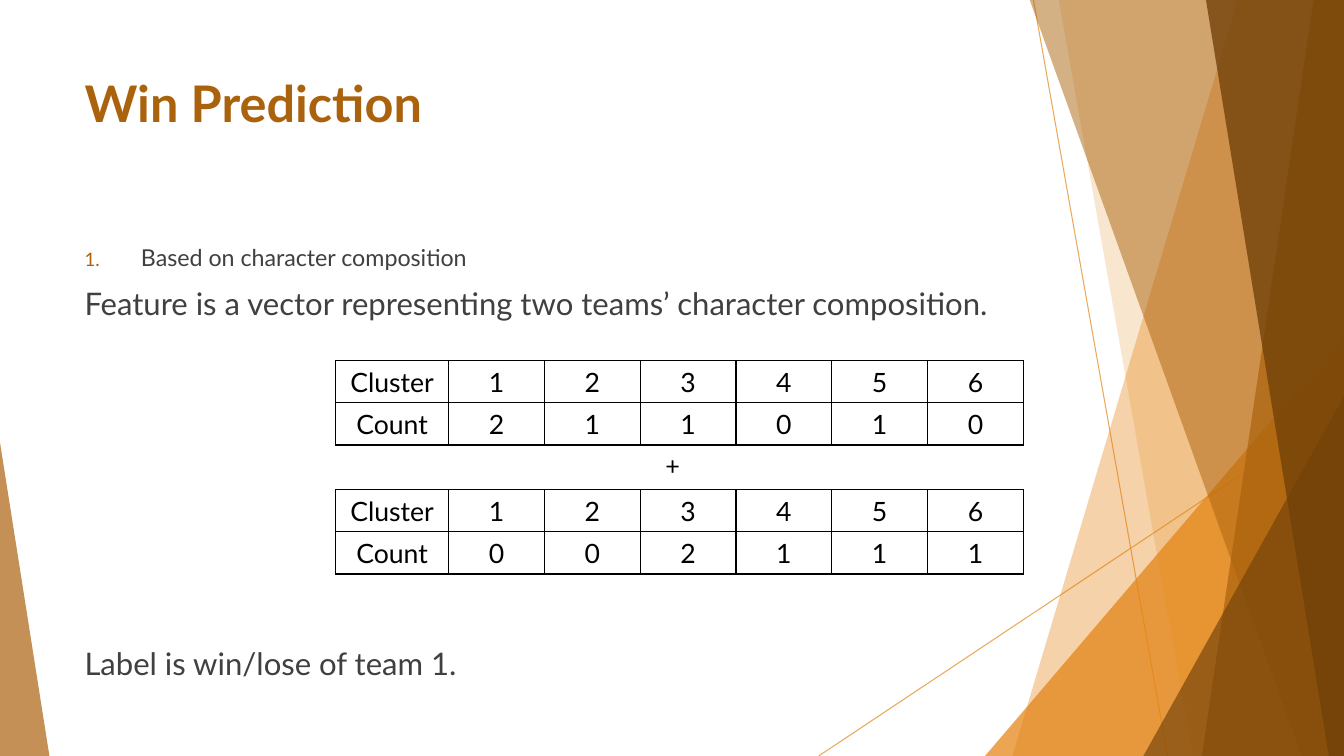
from lxml import etree
from pptx import Presentation
from pptx.dml.color import RGBColor
from pptx.enum.shapes import MSO_CONNECTOR, MSO_SHAPE
from pptx.enum.text import PP_ALIGN
from pptx.oxml import parse_xml
from pptx.oxml.ns import qn
from pptx.util import Inches, Pt

LINE = MSO_CONNECTOR.STRAIGHT
WEDGE = MSO_SHAPE.ISOSCELES_TRIANGLE
LEFT, CENTER = PP_ALIGN.LEFT, PP_ALIGN.CENTER
ORANGE = RGBColor(0xE4, 0x83, 0x12)
RUST = RGBColor(0xAB, 0x62, 0x0D)
BROWN = RGBColor(0x72, 0x42, 0x09)
GRAY = RGBColor(0x40, 0x40, 0x40)
BLACK = RGBColor(0, 0, 0)
WIDE, HIGH, TOP = 13.33, 7.5, -0.01
NS = 'xmlns:a="http://schemas.openxmlformats.org/drawingml/2006/main"'


def write(para, text, size=18, color=BLACK, bold=False, align=LEFT, before=0):
    para.alignment = align
    para.space_before = Pt(before)
    run = para.add_run()
    run.text = text
    run.font.name = "Lato"
    run.font.size = Pt(size)
    run.font.bold = bold
    run.font.color.rgb = color


def tint(fill, color, alpha):
    fill.solid()
    fill.fore_color.rgb = color
    for node in fill._xPr.iter(qn("a:srgbClr")):
        etree.SubElement(node, qn("a:alpha"), val=str(alpha * 1000))


deck = Presentation()
deck.slide_width, deck.slide_height = Inches(WIDE), Inches(HIGH)
slide = deck.slides.add_slide(deck.slide_layouts[6])
shapes = slide.shapes

for x1, y1, x2, y2 in [(10.25, 0, 11.58, HIGH), (WIDE, 4.03, 8.12, HIGH)]:
    ray = shapes.add_connector(LINE, Inches(x1), Inches(y1), Inches(x2), Inches(y2))
    ray.line.width = Pt(0.75)
    tint(ray.line.fill, ORANGE, 70)
    etree.SubElement(ray._element.spPr, qn("a:effectLst"))

facets = [
    ("band", 12.28, 10.04, ORANGE, 36),
    ("band", 10.5, 11.83, ORANGE, 20),
    ("wedge", 9.77, 3.33, 3.56, 1, ORANGE, 72),
    ("band", 10.21, 12.91, RUST, 50),
    ("band", 13.03, 11.92, RUST, 70),
    ("band", 11.96, 13.18, BROWN, 80),
    ("wedge", 11.34, 3.93, 1.99, 1, BROWN, 66),
    ("wedge", 0, 4.39, 0.49, 0, RUST, 70),
]
for kind, *size, color, alpha in facets:
    if kind == "band":
        high, low = size
        pen = shapes.build_freeform(Inches(high), Inches(TOP))
        ends = [(WIDE, TOP), (WIDE, HIGH), (low, HIGH)]
        pen.add_line_segments([(Inches(x), Inches(y)) for x, y in ends], close=True)
        facet = pen.convert_to_shape()
    else:
        x, y, width, tip = size
        facet = shapes.add_shape(WEDGE, Inches(x), Inches(y), Inches(width), Inches(HIGH - y))
        facet.adjustments[0] = tip
    facet.shadow.inherit = False
    facet.line.fill.background()
    tint(facet.fill, color, alpha)

title = shapes.add_textbox(Inches(0.74), Inches(0.67), Inches(9.4), Inches(1.44)).text_frame
title.word_wrap = True
write(title.paragraphs[0], "Win Prediction", size=36, color=RUST, bold=True)

body = shapes.add_textbox(Inches(0.74), Inches(2.36), Inches(9.4), Inches(4.24)).text_frame
body.word_wrap = True
item = body.paragraphs[0]
write(item, "Based on character composition", size=16.6, color=GRAY, before=10)
props = item._p.get_or_add_pPr()
props.set("marL", str(Inches(0.56)))
props.set("indent", str(Inches(-0.56)))
for mark in [
    f'<a:buClr {NS}><a:srgbClr val="{RUST}"/></a:buClr>',
    f'<a:buSzPct {NS} val="80000"/>',
    f'<a:buFont {NS} typeface="Lato"/>',
    f'<a:buAutoNum {NS} type="arabicPeriod"/>',
]:
    props.append(parse_xml(mark))
for text, gap in [
    ("Feature is a vector representing two teams’ character composition.", 10),
    ("Label is win/lose of team 1.", 230),
]:
    write(body.add_paragraph(), text, size=22.2, color=GRAY, before=gap)

teams = [(3.58, [2, 1, 1, 0, 1, 0]), (4.86, [0, 0, 2, 1, 1, 1])]
for y, counts in teams:
    rows = [["Cluster", *range(1, 7)], ["Count", *counts]]
    table = shapes.add_table(2, 7, Inches(3.33), Inches(y), Inches(6.83), Inches(0.83)).table
    table.first_row = table.horz_banding = False
    for col, column in enumerate(table.columns):
        column.width = Inches(0.95 if col else 1.12)
    for r, row in enumerate(rows):
        table.rows[r].height = Inches(0.415)
        for c, value in enumerate(row):
            cell = table.cell(r, c)
            write(cell.text_frame.paragraphs[0], str(value), size=19, align=CENTER)
            for side in ("lnL", "lnR", "lnT", "lnB"):
                cell._tc.get_or_add_tcPr().append(parse_xml(
                    f'<a:{side} {NS} w="{Pt(1)}"><a:solidFill>'
                    f'<a:srgbClr val="{BLACK}"/></a:solidFill></a:{side}>'))
            cell.fill.background()

plus = shapes.add_textbox(Inches(6.5), Inches(4.42), Inches(0.33), Inches(0.4)).text_frame
plus.word_wrap = False
write(plus.paragraphs[0], "+")

deck.save("out.pptx")
